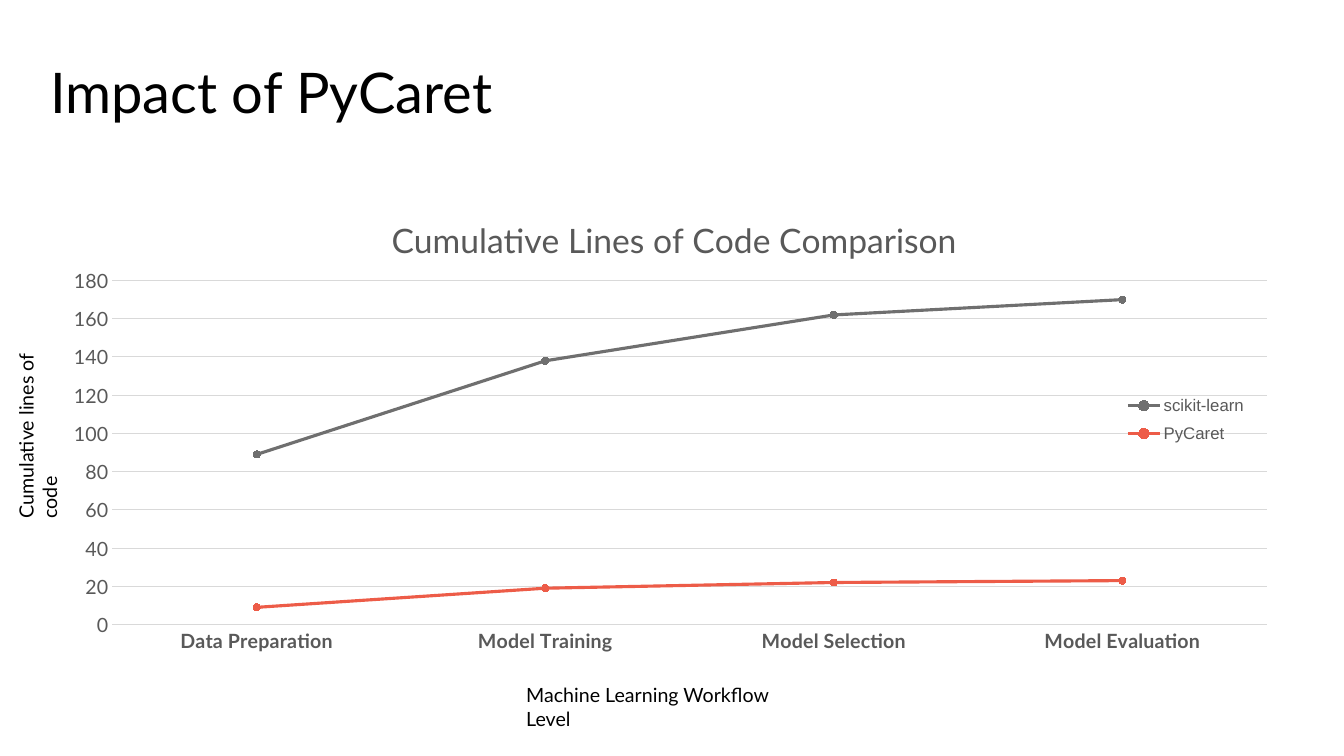
import pptx
import pptx.util
import pptx.chart.data
import pptx.dml.color
import pptx.enum.chart
import pptx.enum.text
import pptx.oxml
import pptx.oxml.ns
from dataclasses import dataclass

Inches, Pt = pptx.util.Inches, pptx.util.Pt
chart_enum = pptx.enum.chart


@dataclass(frozen=True)
class Theme:
    font: str = "Lato"
    legend_font: str = "Arial"
    ink: str = "000000"
    muted: str = "595959"
    grid: str = "D9D9D9"
    heading: float = 40
    chart_heading: float = 24
    label: float = 14
    legend: float = 12
    rule: float = 0.75
    curve: float = 2.25


THEME = Theme()
STAGES = ("Data Preparation", "Model Training", "Model Selection", "Model Evaluation")
LINES_OF_CODE = {
    "scikit-learn": ("6F6F6F", (89, 138, 162, 170)),
    "PyCaret": ("ED5C48", (9, 19, 22, 23)),
}


def rgb(code):
    return pptx.dml.color.RGBColor.from_string(code)


def apply_format(target, values):
    for key, value in values.items():
        setattr(target, key, value)


def style_font(font, size, color, name=THEME.font, bold=False):
    apply_format(font, {"size": Pt(size), "name": name, "bold": bold})
    font.color.rgb = rgb(color)


def style_line(line, color, width):
    line.color.rgb = rgb(color)
    line.width = Pt(width)


def add_label(slide, box, text, size, rotation=0, **frame_format):
    label = slide.shapes.add_textbox(*map(Inches, box))
    label.rotation = rotation
    frame = label.text_frame
    apply_format(frame, {"word_wrap": True, **frame_format})
    paragraph = frame.paragraphs[0]
    run = paragraph.add_run()
    run.text = text
    style_font(run.font, size, THEME.ink)
    return paragraph


def add_heading(slide, box):
    paragraph = add_label(
        slide, box, "Impact of PyCaret", THEME.heading, margin_left=0, margin_right=0,
        vertical_anchor=pptx.enum.text.MSO_ANCHOR.MIDDLE)
    paragraph.line_spacing = 0.9


def set_layout(parent, index, target=None, **shares):
    """Fix a chart part at shares (x, y, w, h) of the chart's size."""
    for old in parent.findall(pptx.oxml.ns.qn("c:layout")):
        parent.remove(old)
    inner = f'<c:layoutTarget val="{target}"/>' if target else ""
    modes = "".join(f'<c:{key}Mode val="edge"/>' for key in "xy")
    sizes = "".join(f'<c:{key} val="{share}"/>' for key, share in shares.items())
    parent.insert(index, pptx.oxml.parse_xml(
        f'<c:layout {pptx.oxml.ns.nsdecls("c")}><c:manualLayout>'
        f"{inner}{modes}{sizes}</c:manualLayout></c:layout>"))


def style_axes(chart):
    for axis, bold in ((chart.category_axis, True), (chart.value_axis, False)):
        axis.major_tick_mark = chart_enum.XL_TICK_MARK.NONE
        axis.minor_tick_mark = chart_enum.XL_TICK_MARK.NONE
        style_font(axis.tick_labels.font, THEME.label, THEME.muted, bold=bold)
    style_line(chart.category_axis.format.line, THEME.grid, THEME.rule)
    value_axis = chart.value_axis
    apply_format(value_axis, {"minimum_scale": 0, "maximum_scale": 180, "major_unit": 20})
    value_axis.format.line.fill.background()
    style_line(value_axis.major_gridlines.format.line, THEME.grid, THEME.rule)


def style_series(series, color):
    series.smooth = False
    style_line(series.format.line, color, THEME.curve)
    marker = series.marker
    apply_format(marker, {"style": chart_enum.XL_MARKER_STYLE.CIRCLE, "size": 5})
    marker.format.fill.solid()
    marker.format.fill.fore_color.rgb = rgb(color)
    style_line(marker.format.line, color, THEME.rule)


def add_code_chart(slide, box):
    data = pptx.chart.data.CategoryChartData()
    data.categories = STAGES
    for library, (_, counts) in LINES_OF_CODE.items():
        data.add_series(library, counts)
    chart = slide.shapes.add_chart(
        chart_enum.XL_CHART_TYPE.LINE_MARKERS, *map(Inches, box), data).chart
    style_font(chart.font, 10, THEME.ink, THEME.legend_font)

    chart.has_title = True
    heading = chart.chart_title.text_frame
    heading.text = "Cumulative Lines of Code Comparison"
    style_font(heading.paragraphs[0].runs[0].font, THEME.chart_heading, THEME.muted)

    chart.has_legend = True
    legend = chart.legend
    apply_format(legend, {"position": chart_enum.XL_LEGEND_POSITION.BOTTOM,
                          "include_in_layout": False})
    style_font(legend.font, THEME.legend, THEME.muted, THEME.legend_font)

    style_axes(chart)
    plot = chart.plots[0]
    plot.vary_by_categories = False
    for series in plot.series:
        style_series(series, LINES_OF_CODE[series.name][0])

    chart_xml = chart.element.chart
    set_layout(chart_xml.plotArea, 0, "inner", x=0.05, y=0.18, w=0.93, h=0.68)
    set_layout(chart_xml.find(pptx.oxml.ns.qn("c:title")), 1, x=0.27, y=0.04)
    set_layout(chart_xml.find(pptx.oxml.ns.qn("c:legend")), 1,
               x=0.86, y=0.39, w=0.11, h=0.13)


def build_slide(presentation):
    slide = presentation.slides.add_slide(presentation.slide_layouts[6])
    left, width = 0.5, 12.31
    add_heading(slide, (left, 0.4, width, 1.09))
    add_code_chart(slide, (left, 1.88, width, 5.02))
    add_label(slide, (-0.82, 3.99, 2.16, 0.34), "Cumulative lines of code",
              THEME.label, rotation=270)
    add_label(slide, (5.12, 6.73, 2.92, 0.34), "Machine Learning Workflow Level",
              THEME.label)


def main():
    presentation = pptx.Presentation()
    apply_format(presentation, {"slide_width": Inches(13.33), "slide_height": Inches(7.5)})
    build_slide(presentation)
    presentation.save("out.pptx")


if __name__ == "__main__":
    main()
